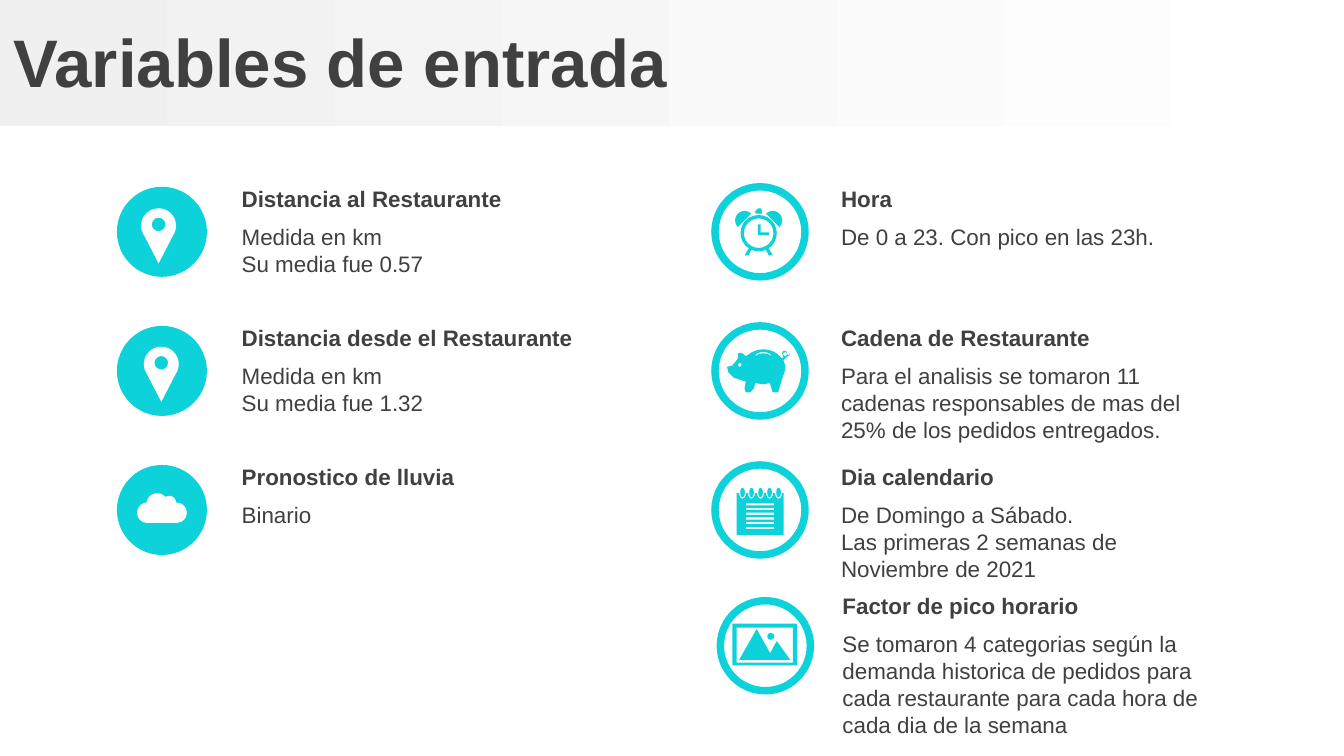
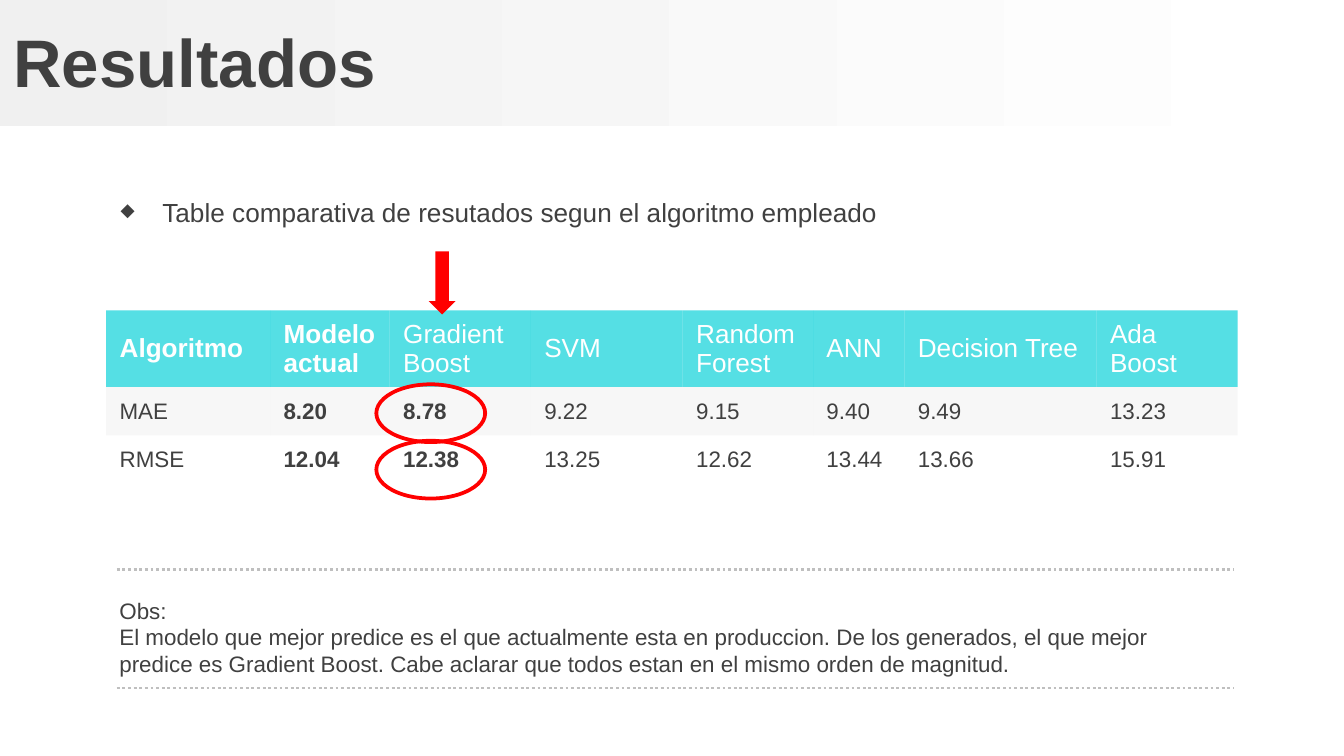
import math
from dataclasses import dataclass

import pptx
import pptx.util
import pptx.dml.color
import pptx.enum.dml
import pptx.enum.shapes
import pptx.enum.text
import pptx.oxml
import pptx.oxml.ns
from lxml import etree

Inches, Pt = pptx.util.Inches, pptx.util.Pt
RGB = pptx.dml.color.RGBColor.from_string
SHAPE = pptx.enum.shapes.MSO_SHAPE
MIDDLE = pptx.enum.text.MSO_ANCHOR.MIDDLE
qn = pptx.oxml.ns.qn


@dataclass(frozen=True)
class Theme:
    font: str = "Arial"
    ink: str = "404040"
    accent: str = "0DD2D9"
    white: str = "FFFFFF"
    band: str = "F0F0F0"
    stripe: str = "D9D9D9"
    rule: str = "BFBFBF"
    alert: str = "FF0000"
    title: int = 36
    lead: int = 14
    body: int = 12


theme = Theme()


def arc(cx, cy, rx, ry=None, start=0, end=360):
    """Points along an ellipse; angles run clockwise from the right."""
    ry = ry or rx
    angles = [math.radians(start + (end - start) * i / 24) for i in range(25)]
    return [(cx + rx * math.cos(a), cy + ry * math.sin(a)) for a in angles]


def write(frame, text, size, color=theme.ink, bold=False):
    """Fill a text frame and format all of its runs."""
    frame.text = text
    frame.word_wrap = True
    for paragraph in frame.paragraphs:
        paragraph.alignment = pptx.enum.text.PP_ALIGN.LEFT
        for run in paragraph.runs:
            run.font.name, run.font.size, run.font.bold = theme.font, Pt(size), bold
            run.font.color.rgb = RGB(color)


# A 16:9 deck
deck = pptx.Presentation()
deck.slide_width = Inches(10)
deck.slide_height = Inches(10 * 9 / 16)
layout = deck.slide_layouts[5]

# Slides with their titles
variables, results = [deck.slides.add_slide(layout) for _ in range(2)]
for slide, heading in ((variables, "Variables de entrada"), (results, "Resultados")):
    title = slide.shapes.title
    title.left, title.top = Inches(0), Inches(0.03)
    title.width, title.height = Inches(10), Inches(0.85)
    write(title.text_frame, heading, theme.title, bold=True)
    title.text_frame.vertical_anchor = MIDDLE

# Title band, kept on the shared layout
band = variables.shapes.add_shape(SHAPE.RECTANGLE, 0, 0, Inches(9.96), Inches(0.94))
band.shadow.inherit = False
band.line.fill.background()
band.fill.gradient()
band.fill.gradient_angle = 0
for stop, color in zip(band.fill.gradient_stops, (theme.band, theme.white)):
    stop.color.rgb = RGB(color)
layout.shapes.element.insert(2, band.element)

# Variables: badge position, text position, filled badge, heading, detail
first_badge, first_text, pitch = 1.39, 1.33, 1.035
left_column = [
    ("Distancia al Restaurante", "Medida en km\nSu media fue 0.57"),
    ("Distancia desde el Restaurante", "Medida en km\nSu media fue 1.32"),
    ("Pronostico de lluvia", "Binario"),
]
right_column = [
    ("Hora", "De 0 a 23. Con pico en las 23h."),
    ("Cadena de Restaurante",
     "Para el analisis se tomaron 11 cadenas responsables de mas del 25% "
     "de los pedidos entregados."),
    ("Dia calendario", "De Domingo a Sábado. \nLas primeras 2 semanas de Noviembre de 2021"),
]
entries = []
for badge_x, text_x, filled, column in (
        (0.87, 1.7, True, left_column), (5.32, 6.16, False, right_column)):
    for row, (heading, detail) in enumerate(column):
        entries.append((badge_x, first_badge + row * pitch, text_x,
                        first_text + row * pitch, filled, heading, detail))
entries.append((5.36, 4.47, 6.17, 4.36, False, "Factor de pico horario",
                "Se tomaron 4 categorias según la demanda historica de pedidos para "
                "cada restaurante para cada hora de cada dia de la semana"))

for badge_x, badge_y, text_x, text_y, filled, heading, detail in entries:
    badge = variables.shapes.add_shape(
        SHAPE.OVAL, Inches(badge_x), Inches(badge_y), Inches(0.67), Inches(0.67))
    badge.shadow.inherit = False
    badge.fill.solid()
    badge.fill.fore_color.rgb = RGB(theme.accent if filled else theme.white)
    if filled:
        badge.line.fill.background()
    else:
        badge.line.color.rgb, badge.line.width = RGB(theme.accent), Pt(4)
    for offset, height, text, bold in ((0.28, 0.5, detail, False), (0, 0.3, heading, True)):
        caption = variables.shapes.add_textbox(
            Inches(text_x), Inches(text_y + offset), Inches(3.1), Inches(height))
        write(caption.text_frame, text, theme.body, bold=bold)
        caption.text_frame.auto_size = pptx.enum.text.MSO_AUTO_SIZE.SHAPE_TO_FIT_TEXT

# Icons: each is a list of contours, inner contours cut holes
pins = [[arc(x, y, 0.13, start=145, end=395) + [(x, y + 0.28)], arc(x, y - 0.01, 0.05)]
        for x, y in ((1.18, 1.68), (1.2, 2.71))]
cloud = [arc(1.095, 3.815, 0.075, start=90, end=265) + arc(1.17, 3.75, 0.08, start=190, end=320)
         + arc(1.26, 3.74, 0.05, start=250, end=360) + arc(1.315, 3.815, 0.075, start=-85, end=90)]

clock_x, clock_y = 5.645, 1.735
clock = [
    arc(clock_x, clock_y, 0.135), arc(clock_x, clock_y, 0.11),
    [(5.64, 1.67), (5.66, 1.67), (5.66, 1.73), (5.72, 1.73), (5.72, 1.75), (5.64, 1.75)],
    arc(clock_x - 0.105, 1.64, 0.07, start=135, end=315),
    arc(clock_x + 0.105, 1.64, 0.07, start=225, end=405),
    [(5.62, 1.59), (5.62, 1.57), (5.64, 1.55), (5.66, 1.55), (5.67, 1.57), (5.67, 1.59)],
]
for side in (-1, 1):
    clock.append([(clock_x + side * dx, y)
                  for dx, y in ((0.075, 1.85), (0.105, 1.9), (0.075, 1.9), (0.055, 1.86))])

rings = [5.525 + 0.067 * i for i in range(5)]
page = [(5.48, 3.67)]
for x in rings:
    page += arc(x, 3.67, 0.025, 0.04, 180, 0)
calendar = [page + [(5.83, 3.67), (5.83, 3.98), (5.48, 3.98)]]
calendar += [arc(x, 3.665, 0.017, 0.035) for x in rings]
for y in [3.745 + 0.035 * i for i in range(6)]:
    calendar.append([(5.55, y), (5.76, y), (5.76, y + 0.016), (5.55, y + 0.016)])

pig = [
    [(5.41, 2.73), (5.45, 2.72), (5.49, 2.67), (5.49, 2.63), (5.52, 2.625), (5.55, 2.65)]
    + arc(5.68, 2.73, 0.155, 0.13, 225, 330)
    + [(5.83, 2.66), (5.82, 2.63), (5.83, 2.61), (5.85, 2.61), (5.86, 2.64), (5.875, 2.64),
       (5.88, 2.61), (5.88, 2.64), (5.85, 2.66), (5.83, 2.68), (5.84, 2.71), (5.84, 2.76),
       (5.82, 2.82), (5.79, 2.92), (5.75, 2.92), (5.73, 2.85), (5.68, 2.86), (5.62, 2.85),
       (5.61, 2.89), (5.58, 2.92), (5.55, 2.92), (5.54, 2.89), (5.55, 2.84), (5.46, 2.81),
       (5.42, 2.77)],
    arc(5.505, 2.715, 0.013), arc(5.842, 2.635, 0.014),
    arc(5.68, 2.65, 0.06, 0.03, 200, 340) + arc(5.68, 2.66, 0.06, 0.03, 340, 200),
]
landscape = [
    [(5.45, 4.64), (5.93, 4.64), (5.93, 4.95), (5.45, 4.95)],
    [(5.48, 4.67), (5.9, 4.67), (5.9, 4.93), (5.48, 4.93)],
    [(5.63, 4.68), (5.73, 4.86), (5.78, 4.77), (5.88, 4.91), (5.5, 4.91)],
    arc(5.735, 4.735, 0.025),
]
icons = [(theme.white, icon) for icon in pins + [cloud]]
icons += [(theme.accent, icon) for icon in (clock, pig, calendar, landscape)]
for color, contours in icons:
    builder = None
    for contour in contours:
        points = [(Inches(x), Inches(y)) for x, y in contour]
        if builder is None:
            builder = variables.shapes.build_freeform(*points[0])
        else:
            builder.move_to(*points[0])
        builder.add_line_segments(points[1:], close=True)
    icon = builder.convert_to_shape()
    icon.shadow.inherit = False
    icon.fill.solid()
    icon.fill.fore_color.rgb = RGB(color)
    icon.line.fill.background()

# Results: comparison table
scores = [
    ["Algoritmo", "Modelo actual", "Gradient Boost", "SVM", "Random Forest", "ANN",
     "Decision Tree", "Ada Boost"],
    ["MAE", "8.20", "8.78", "9.22", "9.15", "9.40", "9.49", "13.23"],
    ["RMSE", "12.04", "12.38", "13.25", "12.62", "13.44", "13.66", "15.91"],
]
widths = [1.22, 0.89, 1.05, 1.13, 0.97, 0.68, 1.43, 1.05]
row_styles = [  # height, text size, text colour, bold columns, fill, opacity
    (0.57, theme.lead, theme.white, (0, 1), theme.accent, 70),
    (0.36, theme.body, theme.ink, (1, 2), theme.stripe, 20),
    (0.36, theme.body, theme.ink, (1, 2), None, 0),
]
table_frame = results.shapes.add_table(
    3, 8, Inches(0.79), Inches(2.31), Inches(sum(widths)), Inches(1.29))
plain_style = "{2D5ABB26-0587-4C30-8999-92F81FD0307C}"
table_frame.element.find(".//" + qn("a:tableStyleId")).text = plain_style
comparison = table_frame.table
for column, width in zip(comparison.columns, widths):
    column.width = Inches(width)
for r, (height, size, color, bold_columns, fill, opacity) in enumerate(row_styles):
    comparison.rows[r].height = Inches(height)
    for c, text in enumerate(scores[r]):
        cell = comparison.cell(r, c)
        write(cell.text_frame, text, size, color, c in bold_columns)
        cell.vertical_anchor = MIDDLE
        if fill is None:
            cell.fill.background()
            continue
        cell.fill.solid()
        cell.fill.fore_color.rgb = RGB(fill)
        tint = cell._tc.tcPr.find(".//" + qn("a:srgbClr"))
        etree.SubElement(tint, qn("a:alpha")).set("val", str(opacity * 1000))

# Results: remark between dotted rules
remark = results.shapes.add_textbox(Inches(0.79), Inches(4.39), Inches(8.07), Inches(0.71))
write(remark.text_frame,
      "Obs:\nEl modelo que mejor predice es el que actualmente esta en produccion. "
      "De los generados, el que mejor predice es Gradient Boost. Cabe aclarar que todos "
      "estan en el mismo orden de magnitud. ", theme.body)
for y in (4.24, 5.12):
    rule = results.shapes.add_connector(
        pptx.enum.shapes.MSO_CONNECTOR.STRAIGHT, Inches(0.87), Inches(y), Inches(9.18), Inches(y))
    rule.line.color.rgb, rule.line.width = RGB(theme.rule), Pt(1.5)
    rule.line.dash_style = pptx.enum.dml.MSO_LINE.ROUND_DOT
    etree.SubElement(rule.element.spPr, qn("a:effectLst"))

# Results: bulleted lead
lead = results.shapes.add_textbox(Inches(0.8), Inches(1.41), Inches(6.8), Inches(0.34))
write(lead.text_frame, "Table comparativa de resutados segun el algoritmo empleado", theme.lead)
bullet = lead.text_frame.paragraphs[0]._p.get_or_add_pPr()
bullet.set("marL", str(Inches(0.31)))
bullet.set("indent", str(-Inches(0.31)))
etree.SubElement(bullet, qn("a:buSzPct")).set("val", "70000")
etree.SubElement(bullet, qn("a:buChar")).set("char", "◆")

# Results: red marks on the best generated model
for kind, x, y, width, height in (
        (SHAPE.OVAL, 2.8, 3.28, 0.81, 0.43),
        (SHAPE.OVAL, 2.8, 2.86, 0.81, 0.43),
        (SHAPE.DOWN_ARROW, 3.19, 1.87, 0.2, 0.47)):
    mark = results.shapes.add_shape(kind, Inches(x), Inches(y), Inches(width), Inches(height))
    mark.shadow.inherit = False
    if kind == SHAPE.OVAL:
        mark.fill.background()
        mark.line.color.rgb, mark.line.width = RGB(theme.alert), Pt(2)
    else:
        mark.fill.solid()
        mark.fill.fore_color.rgb = RGB(theme.alert)
        mark.line.fill.background()

deck.save("out.pptx")
